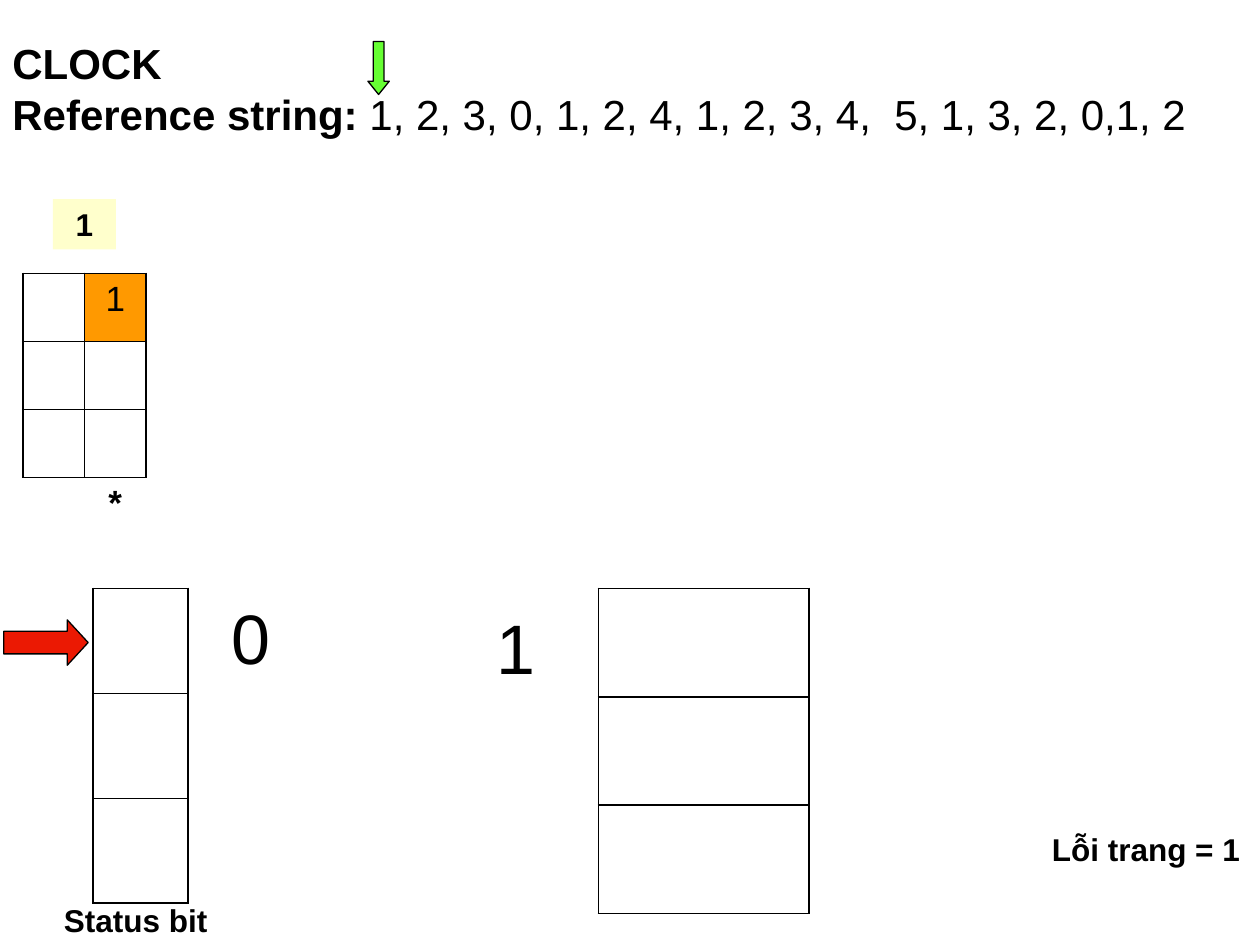
from dataclasses import dataclass

from lxml.etree import SubElement
from pptx import Presentation
from pptx.dml.color import RGBColor
from pptx.enum.shapes import MSO_SHAPE
from pptx.enum.text import MSO_ANCHOR, PP_ALIGN
from pptx.oxml.ns import qn
from pptx.util import Inches, Pt

BLACK = "000000"
THICK, THIN = 1.08, 0.45


@dataclass
class Span:
    text: str
    size: float = 18
    bold: bool = True


@dataclass
class Label:
    left: float
    top: float
    width: float
    height: float
    lines: list[list[Span]]
    wrap: bool = False
    fill: str | None = None
    align: PP_ALIGN = PP_ALIGN.LEFT


@dataclass
class Arrow:
    kind: MSO_SHAPE
    left: float
    top: float
    width: float
    height: float
    head: float
    fill: str


@dataclass
class Column:
    left: float
    top: float
    width: float
    row_height: float
    inner_line: float = THICK
    page: str = ""
    marker: str | None = None


def rgb(hex_color: str) -> RGBColor:
    """Turn a hex string into a colour."""
    return RGBColor.from_string(hex_color)


def write(paragraph, spans: list[Span], align: PP_ALIGN) -> None:
    """Write formatted spans into a paragraph."""
    paragraph.alignment = align
    for span in spans:
        run = paragraph.add_run()
        run.text = span.text
        run.font.color.rgb = rgb(BLACK)
        formats = {"name": "Arial", "size": Pt(span.size), "bold": span.bold}
        for attribute, value in formats.items():
            setattr(run.font, attribute, value)


def draw_label(slide, label: Label) -> None:
    """Draw a text box with one paragraph per line."""
    box = slide.shapes.add_textbox(
        Inches(label.left), Inches(label.top), Inches(label.width), Inches(label.height)
    )
    if label.fill:
        box.fill.solid()
        box.fill.fore_color.rgb = rgb(label.fill)
    frame = box.text_frame
    frame.word_wrap = label.wrap
    frame.vertical_anchor = MSO_ANCHOR.TOP
    for index, spans in enumerate(label.lines):
        paragraph = frame.add_paragraph() if index else frame.paragraphs[0]
        write(paragraph, spans, label.align)


def draw_arrow(slide, arrow: Arrow) -> None:
    """Draw an outlined block arrow."""
    shape = slide.shapes.add_shape(
        arrow.kind, Inches(arrow.left), Inches(arrow.top), Inches(arrow.width), Inches(arrow.height)
    )
    shape.shadow.inherit = False
    shape.adjustments[0] = 0.5
    shape.adjustments[1] = arrow.head
    shape.fill.solid()
    shape.fill.fore_color.rgb = rgb(arrow.fill)
    shape.line.color.rgb = rgb(BLACK)
    shape.line.width = Pt(0.75)


def set_borders(cell, widths: dict[str, float]) -> None:
    """Set the four cell borders, where a zero width hides the line."""
    properties = cell._tc.get_or_add_tcPr()
    for side in "LRTB":
        line = SubElement(properties, qn(f"a:ln{side}"), w=str(Pt(widths[side])))
        if widths[side]:
            SubElement(SubElement(line, qn("a:solidFill")), qn("a:srgbClr"), val=BLACK)
        else:
            SubElement(line, qn("a:noFill"))


def draw_column(slide, column: Column) -> None:
    """Draw three stacked frames, with an open marker row if there is one."""
    frames = 3
    rows = frames + (column.marker is not None)
    table = slide.shapes.add_table(
        rows, 1, Inches(column.left), Inches(column.top),
        Inches(column.width), Inches(column.row_height * rows),
    ).table
    table.first_row = table.horz_banding = False
    texts = {0: Span(column.page, 20, False), frames: Span(column.marker or "", 20)}
    for row in range(rows):
        cell = table.cell(row, 0)
        is_frame = row < frames
        side = THICK if is_frame else 0
        top = THICK if row in (0, frames) else column.inner_line
        bottom = column.inner_line if row < frames - 1 else side
        set_borders(cell, {"L": side, "R": side, "T": top, "B": bottom})
        if row == 0 and column.page:
            cell.fill.solid()
            cell.fill.fore_color.rgb = rgb("FF9900")
        else:
            cell.fill.background()
        if row in texts and texts[row].text:
            write(cell.text_frame.paragraphs[0], [texts[row]], PP_ALIGN.CENTER)


def main() -> None:
    """Build the clock page replacement slide."""
    deck = Presentation()
    deck.slide_width, deck.slide_height = Inches(10), Inches(7.5)
    slide = deck.slides.add_slide(deck.slide_layouts[6])
    reference = " 1, 2, 3, 0, 1, 2, 4, 1, 2, 3, 4,  5, 1, 3, 2, 0,1, 2"
    heading = [
        [Span("CLOCK", 24)],
        [Span("Reference string:", 24), Span(reference, 24, False)],
    ]
    parts = [
        Label(0.42, 1.58, 0.5, 0.4, [[Span("1")]], True, "FFFFCC", PP_ALIGN.CENTER),
        Column(0.67, 2.17, 0.49, 0.54, THIN, "1", "*"),
        Column(0.18, 2.17, 0.49, 0.54, THIN, marker=""),
        Column(4.75, 4.67, 1.67, 0.86),
        Label(8.25, 6.54, 1.69, 0.4, [[Span("Lỗi trang = 1")]]),
        Arrow(MSO_SHAPE.DOWN_ARROW, 2.92, 0.33, 0.17, 0.42, 0.62, "66FF33"),
        Arrow(MSO_SHAPE.RIGHT_ARROW, 0.03, 4.92, 0.67, 0.36, 0.46, "EB1903"),
        Column(0.74, 4.67, 0.75, 2.5 / 3),
        Label(0.41, 7.1, 1.34, 0.4, [[Span("Status bit")]]),
        Label(1.74, 4.67, 0.51, 0.77, [[Span("0", 40, False)]]),
        Label(3.84, 4.75, 0.51, 0.77, [[Span("1", 40, False)]]),
        Label(0, 0.25, 10, 0.9, heading, True),
    ]
    painters = {Label: draw_label, Arrow: draw_arrow, Column: draw_column}
    for part in parts:
        painters[type(part)](slide, part)
    deck.save("out.pptx")


if __name__ == "__main__":
    main()
